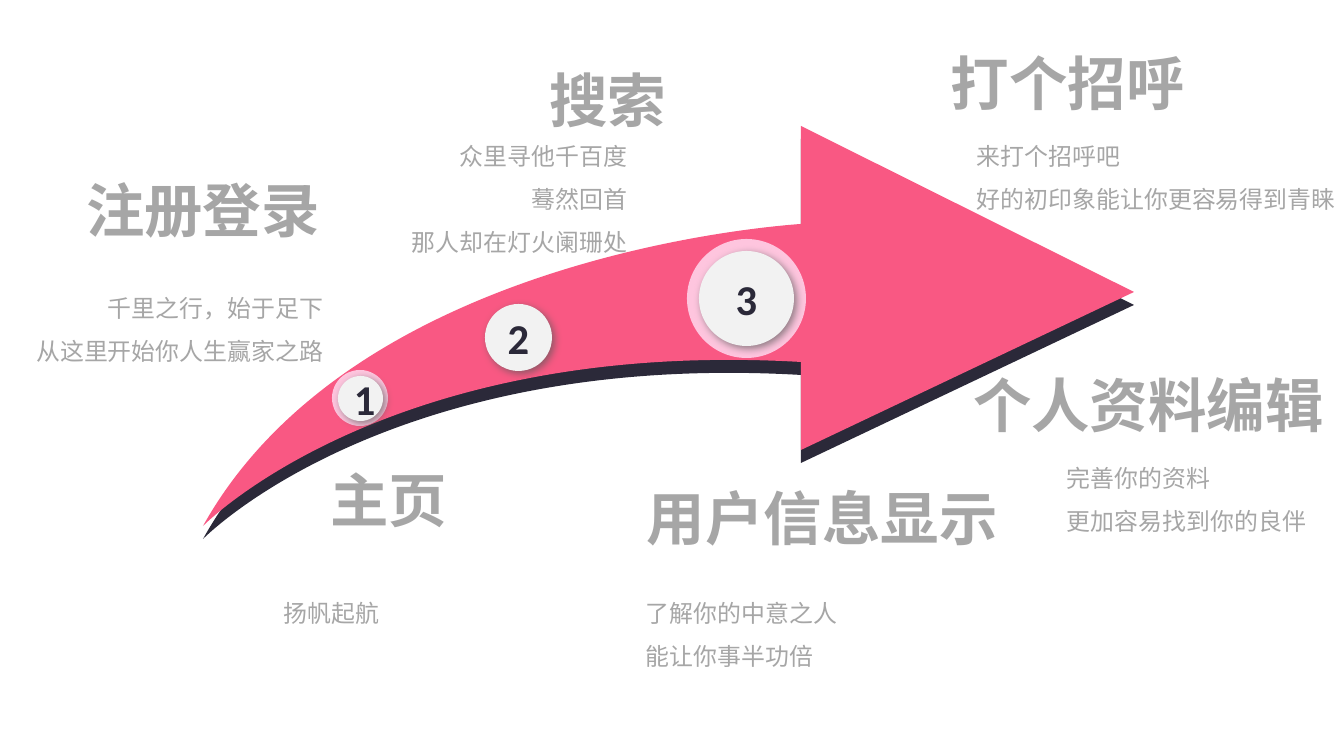
from dataclasses import dataclass

from lxml.etree import SubElement
from pptx import Presentation
from pptx.dml.color import RGBColor
from pptx.enum.shapes import MSO_SHAPE as SHAPE
from pptx.enum.text import MSO_ANCHOR as ANCHOR, MSO_AUTO_SIZE as AUTO, PP_ALIGN as ALIGN
from pptx.oxml.ns import qn
from pptx.util import Pt

SCALE = 914400 / 95.6


def px(n):
    return round(n * SCALE)


@dataclass(frozen=True)
class Theme:
    navy: str = "2B2939"
    pink: str = "F95883"
    halo: str = "FEC5DE"
    disc: str = "F2F2F2"
    grey: str = "A6A6A6"
    shadow: str = "595959"
    title: int = 44
    body: int = 18
    number: int = 32
    cjk: str = "Noto Sans CJK SC"
    latin: str = "Arial"
    digits: str = "Calibri"


def write(tf, text, font, size, color, bold=False, align=ALIGN.LEFT, spacing=None):
    for i, line in enumerate(text.split("\n")):
        p = tf.add_paragraph() if i else tf.paragraphs[0]
        p.alignment = align
        if spacing:
            p.line_spacing = spacing
        r = p.add_run()
        r.text = line
        r.font.name = font
        r.font.size = Pt(size)
        r.font.bold = bold
        r.font.color.rgb = RGBColor.from_string(color)
        SubElement(r.font._element, qn("a:ea")).set("typeface", Theme.cjk)


def curve(sp, first):
    lines = list(sp._element.iter(qn("a:lnTo")))[first:first + 3]
    bezier = SubElement(lines[0].getparent(), qn("a:cubicBezTo"))
    lines[0].addprevious(bezier)
    for line in lines:
        bezier.append(line[0])
        line.getparent().remove(line)


class Deck:
    def __init__(self, prs, theme):
        self.theme = theme
        self.s = prs.slides.add_slide(prs.slide_layouts[6])

    def paint(self, sp, color):
        sp.shadow.inherit = False
        sp.fill.solid()
        sp.fill.fore_color.rgb = RGBColor.from_string(color)
        sp.line.fill.background()

    def cast_shadow(self, sp):
        effects = sp._element.spPr.find(qn("a:effectLst"))
        outer = SubElement(effects, qn("a:outerShdw"), blurRad=str(Pt(6)),
                           dist=str(Pt(3)), dir="2700000", algn="tl", rotWithShape="0")
        color = SubElement(outer, qn("a:srgbClr"), val=self.theme.shadow)
        SubElement(color, qn("a:alpha"), val="64000")

    def arrow(self, outline, curves, depth):
        group = self.s.shapes.add_group_shape()
        for dy, color in ((depth, self.theme.navy), (0, self.theme.pink)):
            points = [(x, y + dy) for x, y in outline]
            builder = group.shapes.build_freeform(*points[0], scale=SCALE)
            builder.add_line_segments(points[1:], close=True)
            sp = builder.convert_to_shape()
            for first in sorted(curves, reverse=True):
                curve(sp, first)
            self.paint(sp, color)

    def circle(self, shapes, cx, cy, size, color):
        sp = shapes.add_shape(SHAPE.ROUNDED_RECTANGLE, px(cx - size // 2),
                              px(cy - size // 2), px(size), px(size))
        sp.adjustments[0] = 0.5
        self.paint(sp, color)
        return sp

    def marker(self, number, cx, cy, outer, inner, ring):
        th = self.theme
        shapes = self.s.shapes.add_group_shape().shapes
        self.circle(shapes, cx, cy, outer, ring)
        sp = self.circle(shapes, cx, cy, inner, th.disc)
        self.cast_shadow(sp)
        sp.text_frame.vertical_anchor = ANCHOR.MIDDLE
        write(sp.text_frame, str(number), font=th.digits, size=th.number,
              color=th.navy, bold=True, align=ALIGN.CENTER)

    def text(self, box, text, inset, **style):
        tf = self.s.shapes.add_textbox(*map(px, box)).text_frame
        tf.word_wrap = True
        tf.auto_size = AUTO.SHAPE_TO_FIT_TEXT
        tf.margin_left = tf.margin_right = px(inset)
        tf.margin_top = tf.margin_bottom = px(5)
        write(tf, text, color=self.theme.grey, **style)

    def title(self, box, text, spacing=1.2, align=ALIGN.LEFT, font=None):
        self.text(box, text, inset=10, font=font or self.theme.cjk,
                  size=self.theme.title, bold=True, align=align, spacing=spacing)

    def body(self, box, text, align=ALIGN.LEFT):
        self.text(box, text, inset=9, font=self.theme.cjk,
                  size=self.theme.body, align=align, spacing=1.5)


def main():
    prs = Presentation()
    prs.slide_width, prs.slide_height = px(1344), px(756)
    th = Theme()
    deck = Deck(prs, th)

    tip, tail, neck_top, neck_bottom = (1134, 292), (203, 526), (801, 224), (801, 362)
    upper_edge = [(759, 227), (351, 261), tail]
    lower_edge = [tail, (386, 338), neck_bottom]
    outline = [tip, (801, 126), neck_top, *upper_edge, *lower_edge, (801, 450)]
    deck.arrow(outline, curves=(2, 5), depth=13)

    markers = [
        (360, 398, 56, 45, th.halo),
        (518, 337, 84, 67, th.pink),
        (746, 298, 119, 95, th.halo),
    ]
    for number, marker in enumerate(markers, 1):
        deck.marker(number, *marker)

    right = ALIGN.RIGHT
    deck.title((76, 134, 360, 116), "注册登录", spacing=1.5)
    deck.body((-31, 274, 363, 96), "千里之行，始于足下\n从这里开始你人生赢家之路", align=right)
    deck.title((203, 445, 254, 95), "主页", align=right, font=th.latin)
    deck.body((111, 579, 277, 53), "扬帆起航", align=right)
    deck.title((422, 45, 254, 95), "搜索", align=right, font=th.latin)
    deck.body((359, 122, 277, 140), "众里寻他千百度\n蓦然回首\n那人却在灯火阑珊处", align=right)
    deck.title((637, 463, 404, 95), "用户信息显示")
    deck.body((637, 579, 378, 96), "了解你的中意之人\n能让你事半功倍")
    deck.title((941, 28, 404, 95), "打个招呼")
    deck.body((968, 122, 378, 96), "来打个招呼吧\n好的初印象能让你更容易得到青睐")
    deck.title((927, 329, 407, 116), "个人资料编辑", spacing=1.5, align=right)
    deck.body((1058, 444, 277, 140), "完善你的资料\n更加容易找到你的良伴")

    prs.save("out.pptx")


if __name__ == "__main__":
    main()
